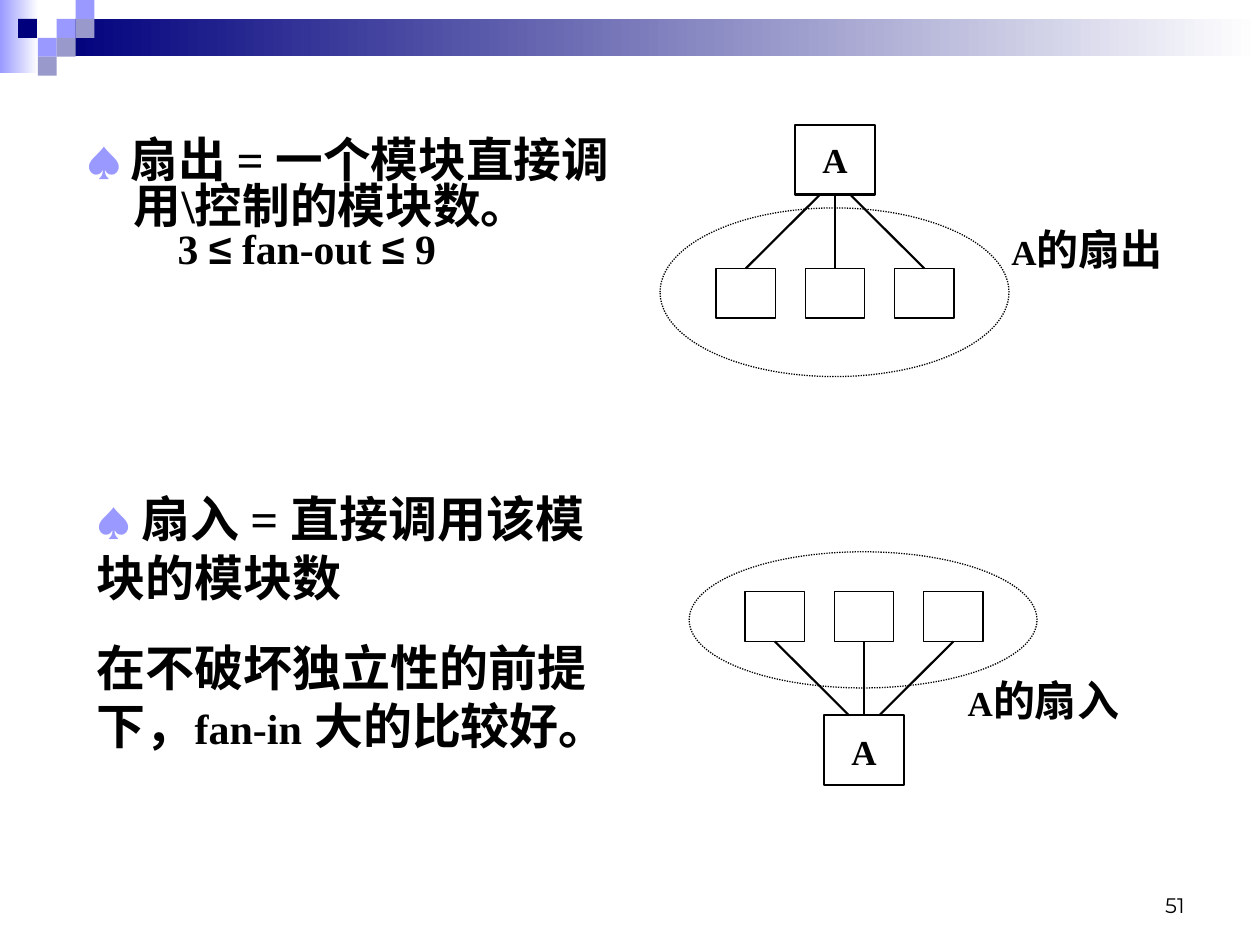
from pptx import Presentation
from pptx.dml.color import RGBColor
from pptx.enum.dml import MSO_LINE
from pptx.enum.shapes import MSO_CONNECTOR, MSO_SHAPE
from pptx.enum.text import MSO_ANCHOR, PP_ALIGN
from pptx.oxml.ns import qn
from pptx.util import Pt
from lxml import etree

RECT, OVAL = MSO_SHAPE.RECTANGLE, MSO_SHAPE.OVAL
STRAIGHT, DOTTED = MSO_CONNECTOR.STRAIGHT, MSO_LINE.ROUND_DOT
LEFT, CENTER, RIGHT, JUSTIFY = PP_ALIGN.LEFT, PP_ALIGN.CENTER, PP_ALIGN.RIGHT, PP_ALIGN.JUSTIFY
TOP, BOTTOM = MSO_ANCHOR.TOP, MSO_ANCHOR.BOTTOM
SERIF, SANS, NUMBER_FONT = "Times New Roman", "Arial", "Montserrat"
BLACK, WHITE, NAVY, LILAC, GREY_LILAC = "000000", "FFFFFF", "00007D", "9999FF", "9999CC"


def color(value):
    """Turn a hex string into a colour."""
    return RGBColor.from_string(value)


def add_box(page, kind, place, fill=None, line=None):
    """Add a preset shape with an optional fill and outline width."""
    box = page.shapes.add_shape(kind, *map(Pt, place))
    box.shadow.inherit = False
    if fill:
        box.fill.solid()
        box.fill.fore_color.rgb = color(fill)
    else:
        box.fill.background()
    if line:
        box.line.color.rgb = color(BLACK)
        box.line.width = Pt(line)
    else:
        box.line.fill.background()
    return box


def add_fade(page, place, start):
    """Add a bar that fades to white from left to right."""
    bar = add_box(page, RECT, place)
    bar.fill.gradient()
    bar.fill.gradient_angle = 0
    for stop, value in zip(bar.fill.gradient_stops, (start, WHITE)):
        stop.color.rgb = color(value)


def add_line(page, start, end):
    """Add a plain black line between two points."""
    line = page.shapes.add_connector(STRAIGHT, *map(Pt, start + end))
    line.line.color.rgb = color(BLACK)
    line.line.width = Pt(1.25)
    etree.SubElement(line._element.spPr, qn("a:effectLst"))


def write(box, paragraphs, insets, anchor=TOP):
    """Fill a shape with paragraphs of (format, spans)."""
    frame = box.text_frame
    frame.word_wrap = True
    frame.vertical_anchor = anchor
    frame.margin_left = frame.margin_right = Pt(insets[0])
    frame.margin_top = frame.margin_bottom = Pt(insets[1])
    for index, (layout, spans) in enumerate(paragraphs):
        para = frame.paragraphs[0] if index == 0 else frame.add_paragraph()
        indents = dict(layout)
        properties = para._p.get_or_add_pPr()
        for name in ("marL", "indent"):
            properties.set(name, str(Pt(indents.pop(name, 0))))
        for name, value in indents.items():
            setattr(para, name, value)
        for text, size, name, value, bold in spans:
            span = para.add_run()
            span.text = text
            for key, setting in {"size": Pt(size), "name": name, "bold": bold}.items():
                setattr(span.font, key, setting)
            span.font.color.rgb = color(value)


def add_text(page, place, paragraphs, insets=(7.2, 3.6), anchor=TOP):
    """Add a text box."""
    write(page.shapes.add_textbox(*map(Pt, place)), paragraphs, insets, anchor)


def serif(text, size):
    """Describe a bold black serif span."""
    return text, size, SERIF, BLACK, True


def add_header(page):
    """Add the fading bars and the mosaic of squares."""
    add_fade(page, (0, 0, 22, 41.8), LILAC)
    add_fade(page, (32.4, 10.8, 687.6, 21.4), NAVY)
    squares = [(32.4, 10.8, LILAC), (43.2, 0, LILAC), (43.2, 10.8, GREY_LILAC),
               (21.6, 21.6, LILAC), (10.3, 10.8, NAVY), (32.4, 21.6, GREY_LILAC),
               (21.6, 32.4, GREY_LILAC)]
    for left, top, fill in squares:
        add_box(page, RECT, (left, top, 10.8, 10.8), fill)


def add_fan(page, middle, module_top, child_top, oval, spacing):
    """Add module A, its three linked modules and the dotted oval."""
    module = add_box(page, RECT, (middle - 22.8, module_top, 45.6, 39.8), WHITE, 1.25)
    layout = {"alignment": CENTER, "line_spacing": spacing}
    write(module, [(layout, [serif("A", 20)])], (1.4, 2.9))
    below = child_top > module_top
    module_edge = module_top + 39.8 if below else module_top
    child_edge = child_top if below else child_top + 28.4
    for side in (-1, 0, 1):
        center = middle + side * 51
        add_box(page, RECT, (center - 17, child_top, 34, 28.4), WHITE, 0.74)
        add_line(page, (middle + side * 8.6, module_edge), (center, child_edge))
    add_box(page, OVAL, oval, line=0.74).line.dash_style = DOTTED


def add_label(page, place, text, spacing, inset):
    """Add the caption beside a fan."""
    layout = {"alignment": JUSTIFY, "line_spacing": spacing}
    add_text(page, place, [(layout, [serif("A", 20), serif(text, 24)])], (1.4, inset))


def main():
    """Build the slide."""
    deck = Presentation()
    deck.slide_width, deck.slide_height = Pt(720), Pt(540)
    page = deck.slides.add_slide(deck.slide_layouts[6])
    add_header(page)

    tight = {"alignment": LEFT, "line_spacing": 0.8}
    add_text(page, (42.5, 77, 324, 102.2), [
        ({**tight, "marL": 27, "indent": -27, "space_before": Pt(7)},
         [("♠ ", 20.4, SANS, LILAC, False),
          serif("扇出 = 一个模块直接调用\\控制的模块数。", 27.2)]),
        ({**tight, "marL": 52},
         [serif("3 ", 23.8), ("≤", 23.8, SANS, BLACK, True), serif(" fan-out ", 23.8),
          ("≤", 23.8, SANS, BLACK, True), serif(" 9", 23.8)])])

    add_fan(page, 477.2, 71.4, 153.4, (377.2, 118.8, 199.4, 96.4), 1.2)
    add_label(page, (576.6, 118.2, 105, 46.8), "的扇出", 1.2, 3.6)
    add_fan(page, 493.8, 408.8, 338.2, (393.8, 315.3, 198.8, 77.8), 1.25)
    add_label(page, (551.6, 378, 94.4, 31), "的扇入", 1.25, 0)

    loose = {"alignment": LEFT, "space_before": Pt(17.5)}
    add_text(page, (48.2, 275.8, 306, 159), [
        (loose, [("♠", 20, SANS, LILAC, True), (" ", 24, SERIF, GREY_LILAC, True),
                 serif("扇入 = 直接调用该模块的模块数", 28)]),
        (loose, [serif("在不破坏独立性的前提下，", 28), serif("fan-in", 24),
                 serif(" 大的比较好。", 28)])])
    add_text(page, (516.2, 491.8, 167.8, 36),
             [({"alignment": RIGHT}, [("51", 12, NUMBER_FONT, BLACK, False)])], anchor=BOTTOM)
    deck.save("out.pptx")


main()
